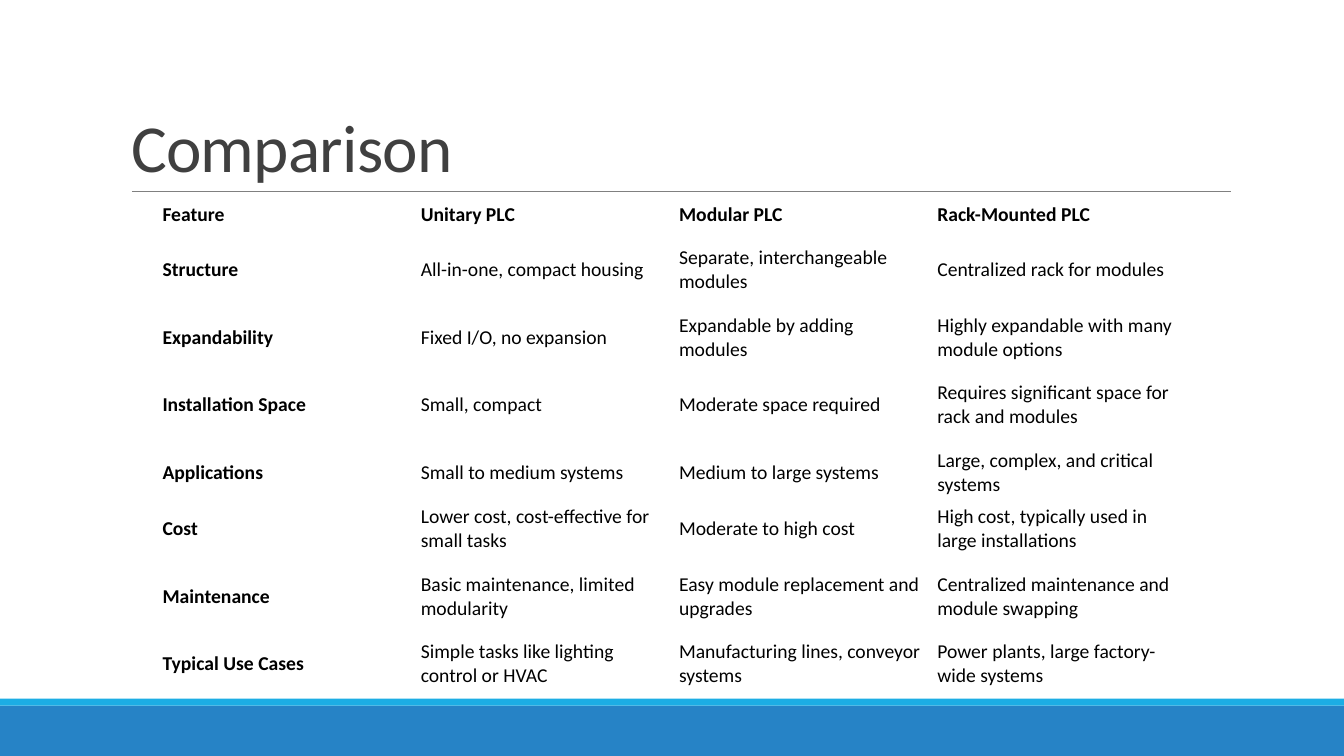
from dataclasses import dataclass

from lxml import etree
from pptx import Presentation
from pptx.dml.color import RGBColor
from pptx.enum.shapes import MSO_CONNECTOR, MSO_SHAPE
from pptx.enum.text import MSO_ANCHOR, MSO_AUTO_SIZE, PP_ALIGN
from pptx.oxml.ns import qn
from pptx.util import Pt

RECT = MSO_SHAPE.RECTANGLE
STRAIGHT = MSO_CONNECTOR.STRAIGHT
MIDDLE, BOTTOM = MSO_ANCHOR.MIDDLE, MSO_ANCHOR.BOTTOM
NO_FIT = MSO_AUTO_SIZE.NONE
LEFT = PP_ALIGN.LEFT
TITLE_ONLY = 5


@dataclass(frozen=True)
class Theme:
    font: str = "Calibri"
    title_size: int = 48
    cell_size: int = 14
    title: str = "404040"
    text: str = "000000"
    rule: str = "808080"
    band: str = "2683C6"
    accent: str = "1CADE4"


THEME = Theme()
SLIDE_W, SLIDE_H = 960, 540
COL_W = 184.5
ROW_HEIGHTS = [23, 56.2, 40.3, 56.2, 40.3, 40.3, 56.2, 40.3]

ROWS = [
    ("Feature", "Unitary PLC", "Modular PLC", "Rack-Mounted PLC"),
    ("Structure", "All-in-one, compact housing",
     "Separate, interchangeable modules", "Centralized rack for modules"),
    ("Expandability", "Fixed I/O, no expansion",
     "Expandable by adding modules",
     "Highly expandable with many module options"),
    ("Installation Space", "Small, compact", "Moderate space required",
     "Requires significant space for rack and modules"),
    ("Applications", "Small to medium systems", "Medium to large systems",
     "Large, complex, and critical systems"),
    ("Cost", "Lower cost, cost-effective for small tasks",
     "Moderate to high cost",
     "High cost, typically used in large installations"),
    ("Maintenance", "Basic maintenance, limited modularity",
     "Easy module replacement and upgrades",
     "Centralized maintenance and module swapping"),
    ("Typical Use Cases", "Simple tasks like lighting control or HVAC",
     "Manufacturing lines, conveyor systems",
     "Power plants, large factory-wide systems"),
]


def write(tf, text, *, size, color, bold=False, line_spacing=None, spacing=None):
    p = tf.paragraphs[0]
    p.alignment = LEFT
    if line_spacing:
        p.line_spacing = line_spacing
    r = p.add_run()
    r.text = text
    r.font.name = THEME.font
    r.font.size = Pt(size)
    r.font.bold = bold
    r.font.color.rgb = RGBColor.from_string(color)
    if spacing is not None:
        r.font._element.set("spc", str(round(spacing * 100)))


def add_band(s, top, height, color):
    sp = s.shapes.add_shape(RECT, 0, Pt(top), Pt(SLIDE_W), Pt(height))
    sp.shadow.inherit = False
    sp.fill.solid()
    sp.fill.fore_color.rgb = RGBColor.from_string(color)
    sp.line.fill.background()


def add_rule(s, left, right, y):
    line = s.shapes.add_connector(STRAIGHT, Pt(left), Pt(y), Pt(right), Pt(y))
    line.line.color.rgb = RGBColor.from_string(THEME.rule)
    line.line.width = Pt(0.5)
    etree.SubElement(line._element.spPr, qn("a:effectLst"))


def set_title(s, text):
    title = s.shapes.title
    title.left, title.top = Pt(86.4), Pt(22.5)
    title.width, title.height = Pt(792), Pt(114.2)
    tf = title.text_frame
    tf.auto_size = NO_FIT
    tf.word_wrap = True
    tf.vertical_anchor = BOTTOM
    write(tf, text, size=THEME.title_size, color=THEME.title,
          line_spacing=0.85, spacing=-0.5)


def add_comparison(s, left, top):
    n_cols = len(ROWS[0])
    table = s.shapes.add_table(len(ROWS), n_cols, Pt(left), Pt(top),
                               Pt(COL_W * n_cols), Pt(sum(ROW_HEIGHTS))).table
    table.first_row = table.horz_banding = False
    for col in table.columns:
        col.width = Pt(COL_W)
    for i, (texts, height) in enumerate(zip(ROWS, ROW_HEIGHTS)):
        table.rows[i].height = Pt(height)
        for j, text in enumerate(texts):
            cell = table.cell(i, j)
            cell.fill.background()
            cell.vertical_anchor = MIDDLE
            cell.margin_left = cell.margin_right = Pt(5.2)
            cell.margin_top = cell.margin_bottom = Pt(2.6)
            # Headings run along the first row and the first column
            write(cell.text_frame, text, size=THEME.cell_size,
                  color=THEME.text, bold=i == 0 or j == 0)


def main():
    prs = Presentation()
    prs.slide_width, prs.slide_height = Pt(SLIDE_W), Pt(SLIDE_H)
    s = prs.slides.add_slide(prs.slide_layouts[TITLE_ONLY])

    # Footer bands
    add_band(s, 504, 36, THEME.band)
    add_band(s, 499, 5, THEME.accent)

    # Title and its rule
    set_title(s, "Comparison")
    add_rule(s, 94.3, 879, 136.8)

    # Comparison table
    add_comparison(s, 110.9, 141.8)

    prs.save("out.pptx")


if __name__ == "__main__":
    main()
